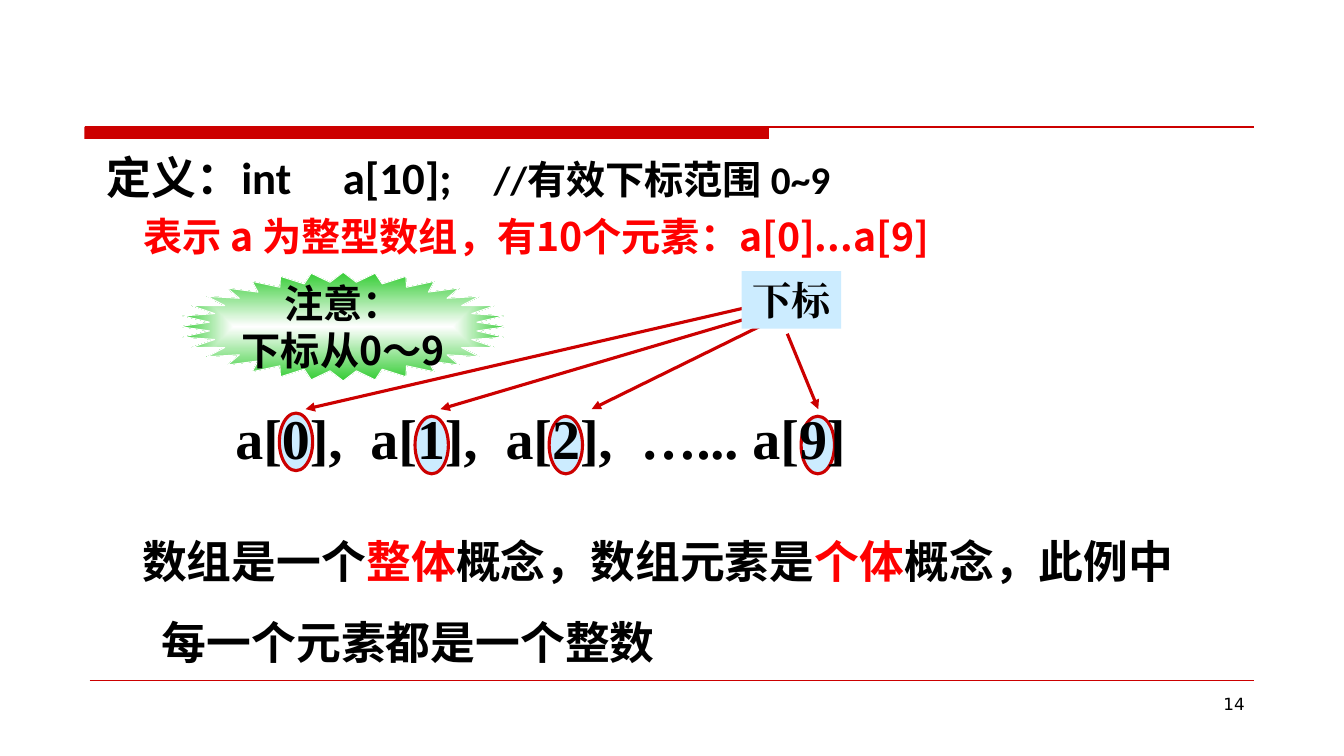
from pptx import Presentation
from pptx import util as u
from pptx.dml.color import RGBColor
from pptx.enum import shapes, text
from pptx.oxml import ns
from lxml import etree

RED, BRIGHT, BLACK, PALE = "CC0000", "FF0000", "000000", "CCECFF"
CJK, CODE, SERIF = "Noto Sans CJK SC", "Calibri", "Times New Roman"
CENTER, MIDDLE = text.PP_ALIGN.CENTER, text.MSO_ANCHOR.MIDDLE


def rgb(value):
    """Turn a hex string into a colour."""
    return RGBColor.from_string(value)


def sub(parent, tag, **attrs):
    """Append a DrawingML child element."""
    return etree.SubElement(parent, ns.qn(tag), attrs)


def style(target, values):
    """Set each attribute named in a dict."""
    for name, value in values.items():
        setattr(target, name, value)


class Deck:
    """Hold the style and the current slide."""

    def __init__(self):
        """Start a wide presentation with one blank slide."""
        self.prs = Presentation()
        style(self.prs, {"slide_width": u.Cm(33.87), "slide_height": u.Cm(19.05)})
        self.s = self.prs.slides.add_slide(self.prs.slide_layouts[6])

    def line(self, start, end, width, arrow=False):
        """Draw a straight red line, with an arrowhead if asked."""
        sp = self.s.shapes.add_connector(
            shapes.MSO_CONNECTOR.STRAIGHT, *map(u.Cm, start + end))
        sp.line.color.rgb = rgb(RED)
        sp.line.width = u.Pt(width)
        if arrow:
            sub(sp.line._get_or_add_ln(), "a:tailEnd", type="triangle")
        sub(sp._element.spPr, "a:effectLst")

    def shape(self, kind, box, fill, line=None, width=0.75):
        """Draw a preset shape with a flat fill."""
        sp = self.s.shapes.add_shape(kind, *map(u.Cm, box))
        sp.shadow.inherit = False
        sp.fill.solid()
        sp.fill.fore_color.rgb = rgb(fill)
        if line:
            sp.line.color.rgb = rgb(line)
            sp.line.width = u.Pt(width)
        else:
            sp.line.fill.background()
        return sp

    def glow(self, sp, inner, outer):
        """Fill a shape with a gradient that spreads from its centre."""
        sp.fill.gradient()
        grad = sp._element.spPr.find(ns.qn("a:gradFill"))
        for child in list(grad):
            grad.remove(child)
        stops = sub(grad, "a:gsLst")
        for pos, color in (("0", inner), ("100000", outer)):
            sub(sub(stops, "a:gs", pos=pos), "a:srgbClr", val=color)
        spread = sub(grad, "a:path", path="shape")
        sub(spread, "a:fillToRect", l="50000", t="50000", r="50000", b="50000")

    def box(self, box):
        """Add an empty text box."""
        return self.s.shapes.add_textbox(*map(u.Cm, box))

    def put_text(self, sp, paragraphs, anchor=text.MSO_ANCHOR.TOP, wrap=True,
                 bold=True, **fmt):
        """Put paragraphs of (text, size, font, colour) runs into a shape."""
        tf = sp.text_frame
        style(tf, {"word_wrap": wrap, "vertical_anchor": anchor})
        for i, runs in enumerate(paragraphs):
            p = tf.add_paragraph() if i else tf.paragraphs[0]
            style(p, fmt)
            for words, size, font, color in runs:
                r = p.add_run()
                r.text = words
                style(r.font, {"size": u.Pt(size), "name": font, "bold": bold})
                r.font.color.rgb = rgb(color)
                sub(r._r.get_or_add_rPr(), "a:ea",
                    typeface=CJK if font == CODE else font)
        return tf.paragraphs


def main():
    """Build the slide on array subscripts."""
    d = Deck()
    kinds = shapes.MSO_SHAPE
    d.shape(kinds.RECTANGLE, (2.13, 3.2, 17.25, 0.3), RED)
    d.line((2.13, 3.2), (31.6, 3.2), 0.75)
    d.line((2.26, 17.15), (31.6, 17.15), 0.25)

    first, second = d.put_text(d.box((2.44, 3.66, 24.61, 4.47)), [
        [("定义：int\ta[10];\t", 32, CODE, BLACK),
         ("//有效下标范围 0~9", 28, CODE, BLACK)],
        [("表示 a 为整型数组，有10个元素：a[0]...a[9]", 28, CJK, BRIGHT)],
    ], space_before=u.Pt(6))
    tabs = sub(first._p.get_or_add_pPr(), "a:tabLst")
    for stop in (5.95, 9.75):
        sub(tabs, "a:tab", pos=str(u.Cm(stop)), algn="l")
    second._p.get_or_add_pPr().set("marL", str(u.Cm(0.92)))

    for left, top in ((7.04, 10.41), (10.46, 10.49), (13.84, 10.49), (20.19, 10.49)):
        d.shape(kinds.OVAL, (left, top, 0.84, 1.45), PALE, RED, 2.25)
    for start, tip in (((19.84, 8.41), 20.62), ((19.2, 8.2), 14.91),
                       ((18.92, 8), 11.1), ((18.72, 7.77), 7.7)):
        d.line(start, (tip, 10.31), 2.25, arrow=True)
    label = d.shape(kinds.RECTANGLE, (18.69, 6.83, 2.51, 1.45), PALE)
    d.put_text(label, [[("下标", 28, SERIF, BLACK)]], MIDDLE, False, alignment=CENTER)
    d.put_text(d.box((3.25, 10.03, 20.75, 1.96)),
               [[("a[0],  a[1],  a[2],  …... a[9]", 40, SERIF, BLACK)]],
               MIDDLE, alignment=CENTER)

    star = d.shape(kinds.STAR_32_POINT, (4.52, 6.86, 8.26, 2.74), "33CC33", "FFFFFF")
    star.adjustments[0] = 0.41
    d.glow(star, "FFFFFF", "33CC33")
    d.put_text(star, [[(words, 28, CJK, BLACK)] for words in ("注意：", "下标从0～9")],
               MIDDLE, False, alignment=CENTER)

    summary = (("数组是一个", BLACK), ("整体", BRIGHT), ("概念，数组元素是", BLACK),
               ("个体", BRIGHT), ("概念，此例中", BLACK))
    _, last = d.put_text(d.box((3.33, 12.65, 27, 4.04)), [
        [(words, 32, CJK, color) for words, color in summary],
        [("每一个元素都是一个整数", 32, CJK, BLACK)],
    ], line_spacing=1.5)
    last._p.get_or_add_pPr().set("marL", str(u.Cm(0.5)))
    d.put_text(d.box((24.28, 17.35, 7.34, 1.32)), [[("14", 12, "DejaVu Sans", BLACK)]],
               bold=False, alignment=text.PP_ALIGN.RIGHT)
    d.prs.save("out.pptx")


if __name__ == "__main__":
    main()
